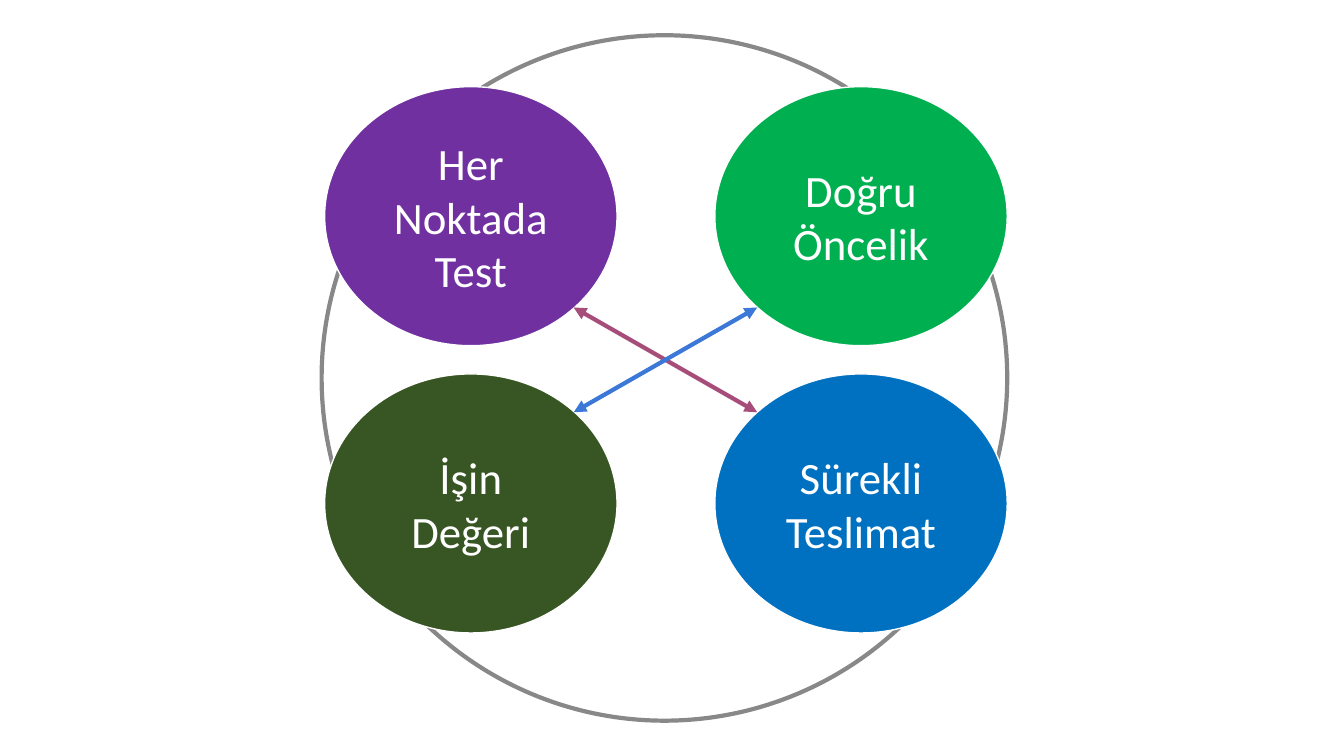
"""Build a slide with four linked principles set on a ring."""
from dataclasses import dataclass

from lxml import etree
from pptx import Presentation
from pptx.dml.color import RGBColor
from pptx.enum.shapes import MSO_CONNECTOR, MSO_SHAPE
from pptx.enum.text import MSO_ANCHOR, PP_ALIGN
from pptx.oxml.ns import qn
from pptx.slide import Slide
from pptx.util import Inches, Pt

RING = MSO_SHAPE.FLOWCHART_CONNECTOR
OVAL = MSO_SHAPE.OVAL
STRAIGHT = MSO_CONNECTOR.STRAIGHT
MIDDLE = MSO_ANCHOR.MIDDLE
CENTER = PP_ALIGN.CENTER

WHITE = RGBColor(0xFF, 0xFF, 0xFF)
GRAY = RGBColor(0x88, 0x88, 0x88)
DARK_GREEN = RGBColor(0x38, 0x56, 0x23)
PURPLE = RGBColor(0x70, 0x30, 0xA0)
GREEN = RGBColor(0x00, 0xB0, 0x50)
BLUE = RGBColor(0x00, 0x70, 0xC0)
PLUM = RGBColor(0xA6, 0x4D, 0x79)
LIGHT_BLUE = RGBColor(0x3C, 0x78, 0xD8)

BLANK_LAYOUT = 6
LEFT, RIGHT = 3.22, 7.09
TOP, BOTTOM = 0.86, 3.71
OVAL_WIDTH, OVAL_HEIGHT = 2.9, 2.57
ARROW_LEFT, ARROW_RIGHT = 5.69, 7.51
ARROW_TOP, ARROW_BOTTOM = 3.05, 4.09


@dataclass(frozen=True)
class Principle:
    """An oval with its place, colour and lines of text."""

    left: float
    top: float
    color: RGBColor
    lines: tuple[str, ...]


@dataclass(frozen=True)
class Arrow:
    """A diagonal double arrow running down from start_x to end_x."""

    start_x: float
    end_x: float
    color: RGBColor


PRINCIPLES = (
    Principle(LEFT, BOTTOM, DARK_GREEN, ("İşin Değeri",)),
    Principle(LEFT, TOP, PURPLE, ("Her Noktada", "Test")),
    Principle(RIGHT, TOP, GREEN, ("Doğru", "Öncelik")),
    Principle(RIGHT, BOTTOM, BLUE, ("Sürekli", "Teslimat")),
)
ARROWS = (
    Arrow(ARROW_LEFT, ARROW_RIGHT, PLUM),
    Arrow(ARROW_RIGHT, ARROW_LEFT, LIGHT_BLUE),
)


def draw_ring(slide: Slide) -> None:
    """Draw the unfilled circle behind the ovals."""
    shape = slide.shapes.add_shape(
        RING, Inches(3.19), Inches(0.35), Inches(6.8), Inches(6.8)
    )
    shape.shadow.inherit = False
    shape.fill.background()
    shape.line.color.rgb = GRAY
    shape.line.width = Pt(3)


def draw_principle(slide: Slide, principle: Principle) -> None:
    """Draw one filled oval with its centred text."""
    shape = slide.shapes.add_shape(
        OVAL,
        Inches(principle.left),
        Inches(principle.top),
        Inches(OVAL_WIDTH),
        Inches(OVAL_HEIGHT),
    )
    shape.shadow.inherit = False
    shape.fill.solid()
    shape.fill.fore_color.rgb = principle.color
    shape.line.color.rgb = WHITE
    shape.line.width = Pt(1)
    frame = shape.text_frame
    frame.word_wrap = True
    frame.vertical_anchor = MIDDLE
    for index, line in enumerate(principle.lines):
        paragraph = frame.add_paragraph() if index else frame.paragraphs[0]
        paragraph.alignment = CENTER
        run = paragraph.add_run()
        run.text = line
        run.font.name = "Calibri"
        run.font.size = Pt(32)
        run.font.color.rgb = WHITE


def draw_arrow(slide: Slide, arrow: Arrow) -> None:
    """Draw one line with a triangle at each end."""
    connector = slide.shapes.add_connector(
        STRAIGHT,
        Inches(arrow.start_x),
        Inches(ARROW_TOP),
        Inches(arrow.end_x),
        Inches(ARROW_BOTTOM),
    )
    connector.line.color.rgb = arrow.color
    connector.line.width = Pt(3)
    properties = connector._element.spPr
    outline = properties.find(qn("a:ln"))
    for end in ("a:headEnd", "a:tailEnd"):
        etree.SubElement(outline, qn(end), type="triangle")
    etree.SubElement(properties, qn("a:effectLst"))


def main() -> None:
    """Create and save the presentation."""
    presentation = Presentation()
    presentation.slide_width = Inches(13.33)
    presentation.slide_height = Inches(7.5)
    slide = presentation.slides.add_slide(presentation.slide_layouts[BLANK_LAYOUT])
    draw_ring(slide)
    for principle in PRINCIPLES:
        draw_principle(slide, principle)
    for arrow in ARROWS:
        draw_arrow(slide, arrow)
    presentation.save("out.pptx")


if __name__ == "__main__":
    main()
